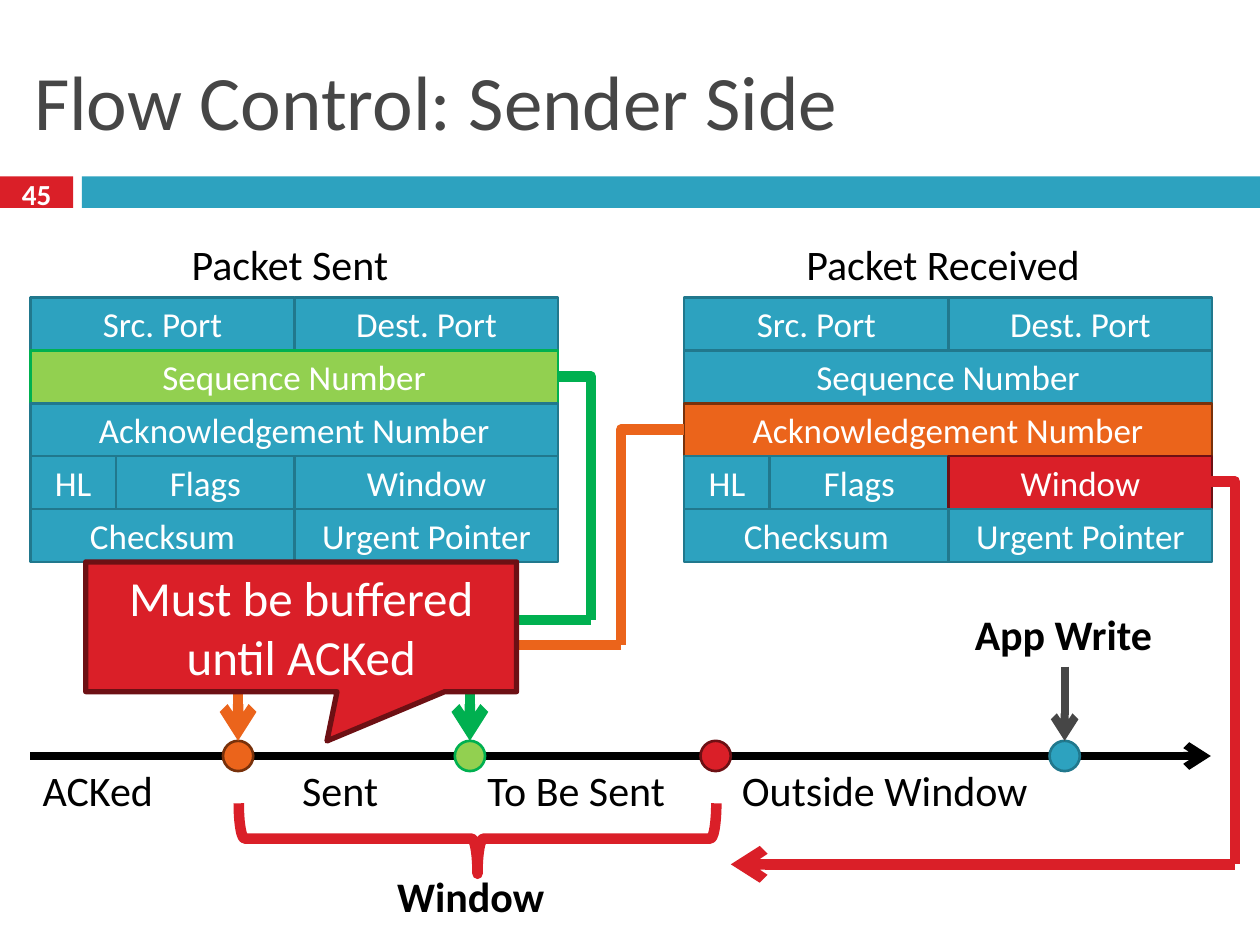
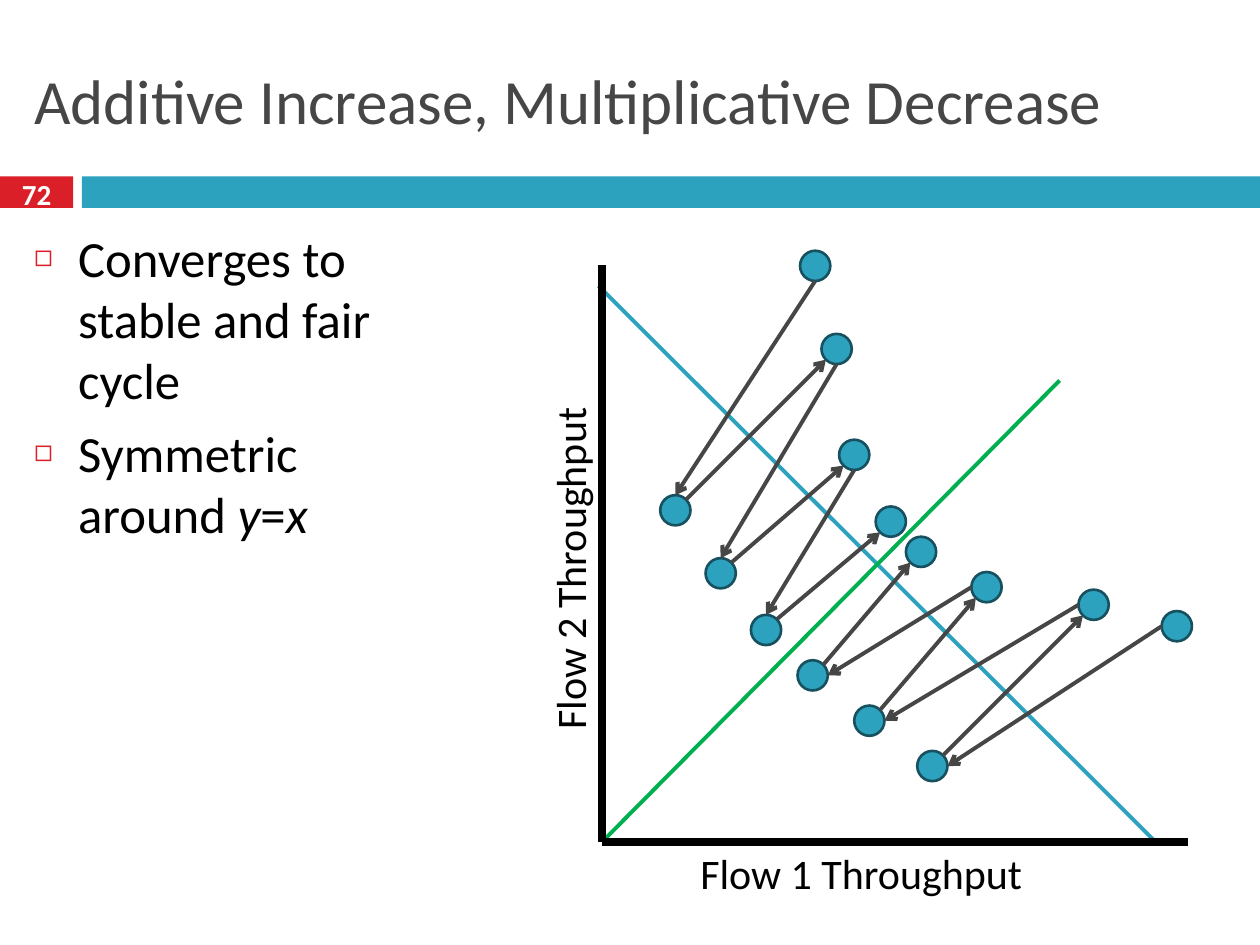
from pptx import Presentation
from pptx.dml.color import RGBColor
from pptx.enum.shapes import MSO_CONNECTOR as Link, MSO_SHAPE as Kind
from pptx.enum.text import MSO_ANCHOR as Anchor, PP_ALIGN as Align
from pptx.oxml.ns import qn
from pptx.util import Inches, Pt
from lxml.etree import SubElement

FONT = "Calibri"
BLACK, WHITE, GREY = "000000", "FFFFFF", "464646"
BLUE, GREEN, RED = "2DA2BF", "00B050", "DA1F28"
ORANGE = "EB641B"

# Fill and outline pairs
PLAIN, LIME = (BLUE, "21788D"), ("92D050", GREEN)
RUST, ALERT = (ORANGE, "78310B"), (RED, "6D1014")
POINT = (BLUE, "175160")

# Packet header: field, row, left, width
FIELDS = [
    ("Src. Port", 0, 0, 2.1), ("Dest. Port", 0, 2.1, 2.09),
    ("Sequence Number", 1, 0, 4.19),
    ("Acknowledgement Number", 2, 0, 4.19),
    ("HL", 3, 0, 0.68), ("Flags", 3, 0.68, 1.42), ("Window", 3, 2.1, 2.09),
    ("Checksum", 4, 0, 2.1), ("Urgent Pointer", 4, 2.1, 2.09),
]
PACKETS = [
    (0.24, {"Sequence Number": LIME}),
    (5.43, {"Acknowledgement Number": RUST, "Window": ALERT}),
]
FIELD_TOP, FIELD_H = 2.36, 0.42

# Text, box, bold, alignment
SENDER_TEXT = [
    ("Packet Sent", (1.29, 1.84, 2.02, 0.5), False, Align.CENTER),
    ("Packet Received", (6.12, 1.84, 2.73, 0.5), False, Align.CENTER),
    ("ACKed", (0.24, 6.02, 1.27, 0.5), False, Align.LEFT),
    ("Sent", (2.3, 6.02, 0.89, 0.5), False, Align.LEFT),
    ("To Be Sent", (3.77, 6.02, 1.85, 0.5), False, Align.LEFT),
    ("Outside Window", (5.79, 6.02, 2.65, 0.5), False, Align.LEFT),
    ("Window", (2.99, 6.86, 1.49, 0.68), True, Align.CENTER),
    ("App Write", (7.55, 4.78, 1.78, 0.5), True, Align.CENTER),
]
MARKS = [(1.89, RUST), (3.73, LIME), (5.68, ALERT), (8.45, PLAIN)]
LINE_Y = 6

# Start, end, colour, arrow at the end
ELBOWS = [
    ((5.43, 3.41), (4.93, 5.12), ORANGE, False),
    ((4.93, 5.12), (1.89, 5.88), ORANGE, True),
    ((4.43, 2.99), (4.69, 4.92), GREEN, False),
    ((4.69, 4.92), (3.73, 5.88), GREEN, True),
    ((9.61, 3.82), (9.8, 6.86), RED, False),
]

POINTS = [
    [("Converges to stable and fair cycle", False)],
    [("Symmetric around ", False), ("y", True), ("=", False), ("x", True)],
]
AXES = [
    ((4.75, 2.27), (9.17, 6.68), BLUE, 2.25),
    ((4.78, 6.68), (8.41, 3.02), GREEN, 2.25),
    ((4.78, 6.68), (9.43, 6.68), BLACK, 4.5),
    ((4.78, 6.68), (4.78, 2.1), BLACK, 4.5),
]
RAD = 0.12
DIAG = 0.085
# Dot centres, alternately peak and trough; side where a peak's arrow leaves
CHAINS = [
    ([(6.47, 2.11), (5.36, 4.05), (6.64, 2.77), (5.72, 4.55),
      (6.78, 3.61), (6.08, 5), (7.07, 4.14)], (0, RAD)),
    ([(9.34, 4.97), (7.4, 6.08), (8.68, 4.8), (6.9, 5.72),
      (7.83, 4.66), (6.45, 5.36), (7.31, 4.38)], (-RAD, 0)),
]


def rgb(code):
    return RGBColor.from_string(code)


def inch(vals):
    return [Inches(v) for v in vals]


def add_run(para, text, size, color, bold=False, ital=False):
    run = para.add_run()
    run.text = text
    font = run.font
    font.name, font.size, font.bold, font.italic = FONT, Pt(size), bold, ital
    font.color.rgb = rgb(color)


def write(shape, text, size, color, bold=False, align=Align.CENTER,
          anchor=Anchor.MIDDLE):
    frame = shape.text_frame
    frame.word_wrap = True
    frame.vertical_anchor = anchor
    para = frame.paragraphs[0]
    para.alignment = align
    add_run(para, text, size, color, bold)


def label(slide, text, box, size=24, color=BLACK, bold=False,
          align=Align.LEFT, anchor=Anchor.TOP):
    shape = slide.shapes.add_textbox(*inch(box))
    write(shape, text, size, color, bold, align, anchor)
    return shape


def draw(slide, kind, box, fill=None, edge=None, width=1.5):
    shape = slide.shapes.add_shape(kind, *inch(box))
    shape.shadow.inherit = False
    if fill:
        shape.fill.solid()
        shape.fill.fore_color.rgb = rgb(fill)
    else:
        shape.fill.background()
    if edge:
        shape.line.color.rgb = rgb(edge)
        shape.line.width = Pt(width)
    else:
        shape.line.fill.background()
    return shape


def dot(slide, x, y, style):
    draw(slide, Kind.OVAL, (x - RAD, y - RAD, 2 * RAD, 2 * RAD), *style)


def link(slide, start, end, color, width, arrow=False, elbow=False):
    """Join two points; an elbow runs across first, then up or down."""
    kind = Link.ELBOW if elbow else Link.STRAIGHT
    line = slide.shapes.add_connector(kind, *inch(start + end))
    line.line.color.rgb = rgb(color)
    line.line.width = Pt(width)
    props = line._element.spPr
    if elbow:
        props.find(qn("a:prstGeom")).set("prst", "bentConnector2")
    if arrow:
        SubElement(props.find(qn("a:ln")), qn("a:tailEnd"), type="arrow")
    SubElement(props, qn("a:effectLst"))


def start(deck, layout, title, size, num):
    slide = deck.slides.add_slide(deck.slide_layouts[layout])
    head = slide.shapes.title
    head.left, head.top, head.width, head.height = inch((0.17, 0.25, 9.67, 1.08))
    write(head, title, size, GREY, align=Align.LEFT)
    draw(slide, Kind.RECTANGLE, (0, 1.4, 0.58, 0.25), RED)
    draw(slide, Kind.RECTANGLE, (0.65, 1.4, 9.35, 0.25), BLUE)
    label(slide, num, (0, 1.37, 0.58, 0.33), 16.6, WHITE, True,
          Align.CENTER, Anchor.MIDDLE)
    return slide


def bullet(para):
    props = para._p.get_or_add_pPr()
    props.set("marL", str(Inches(0.35)))
    props.set("indent", str(-Inches(0.35)))
    tint = SubElement(props, qn("a:buClr"))
    SubElement(tint, qn("a:srgbClr"), val=RED)
    SubElement(props, qn("a:buSzPct"), val="60000")
    SubElement(props, qn("a:buChar"), char="◻")


def sender(deck):
    slide = start(deck, 5, "Flow Control: Sender Side", 44, "45")
    for left, marked in PACKETS:
        for name, row, x, width in FIELDS:
            box = (left + x, FIELD_TOP + row * FIELD_H, width, FIELD_H)
            cell = draw(slide, Kind.RECTANGLE, box, *marked.get(name, PLAIN))
            write(cell, name, 20, WHITE)
    link(slide, (0.24, LINE_Y), (9.61, LINE_Y), BLACK, 4.5, True)
    for text, box, bold, align in SENDER_TEXT:
        label(slide, text, box, bold=bold, align=align)
    for x, style in MARKS:
        dot(slide, x, LINE_Y, style)
    for begin, end, color, arrow in ELBOWS:
        link(slide, begin, end, color, 6, arrow, True)
    link(slide, (9.8, 6.86), (5.8, 6.86), RED, 6, True)
    link(slide, (8.45, 5.29), (8.45, 5.88), GREY, 4.5, True)
    brace = draw(slide, Kind.LEFT_BRACE, (3.51, 4.76, 0.56, 3.79), None, RED, 6)
    brace.rotation = 270
    note = draw(slide, Kind.RECTANGULAR_CALLOUT, (0.68, 4.46, 3.42, 1.03),
                *ALERT, 3)
    note.adjustments[0], note.adjustments[1] = 0.06, 0.88
    write(note, "Must be buffered until ACKed", 28, WHITE)


def converge(deck):
    slide = start(deck, 1, "Additive Increase, Multiplicative Decrease", 36, "72")
    body = slide.placeholders[1]
    body.left, body.top, body.width, body.height = inch((0.17, 1.75, 3.34, 5.58))
    frame = body.text_frame
    for i, runs in enumerate(POINTS):
        para = frame.add_paragraph() if i else frame.paragraphs[0]
        bullet(para)
        para.space_before = Pt(7 if i else 0)
        for text, ital in runs:
            add_run(para, text, 29, BLACK, ital=ital)
    label(slide, "Flow 1 Throughput", (5.46, 6.68, 3, 0.5))
    label(slide, "Flow 2 Throughput", (3.02, 4.14, 3, 0.5)).rotation = 270
    for axis in AXES:
        link(slide, *axis)
    for dots, (dx, dy) in CHAINS:
        for x, y in dots:
            dot(slide, x, y, POINT)
        for i, ((x, y), (u, v)) in enumerate(zip(dots, dots[1:])):
            sx, sy = (DIAG, -DIAG) if i % 2 else (dx, dy)
            link(slide, (x + sx, y + sy), (u - sx, v - sy), GREY, 2.25, True)


def main():
    deck = Presentation()
    deck.slide_width, deck.slide_height = Inches(10), Inches(7.5)
    sender(deck)
    converge(deck)
    deck.save("out.pptx")


if __name__ == "__main__":
    main()
